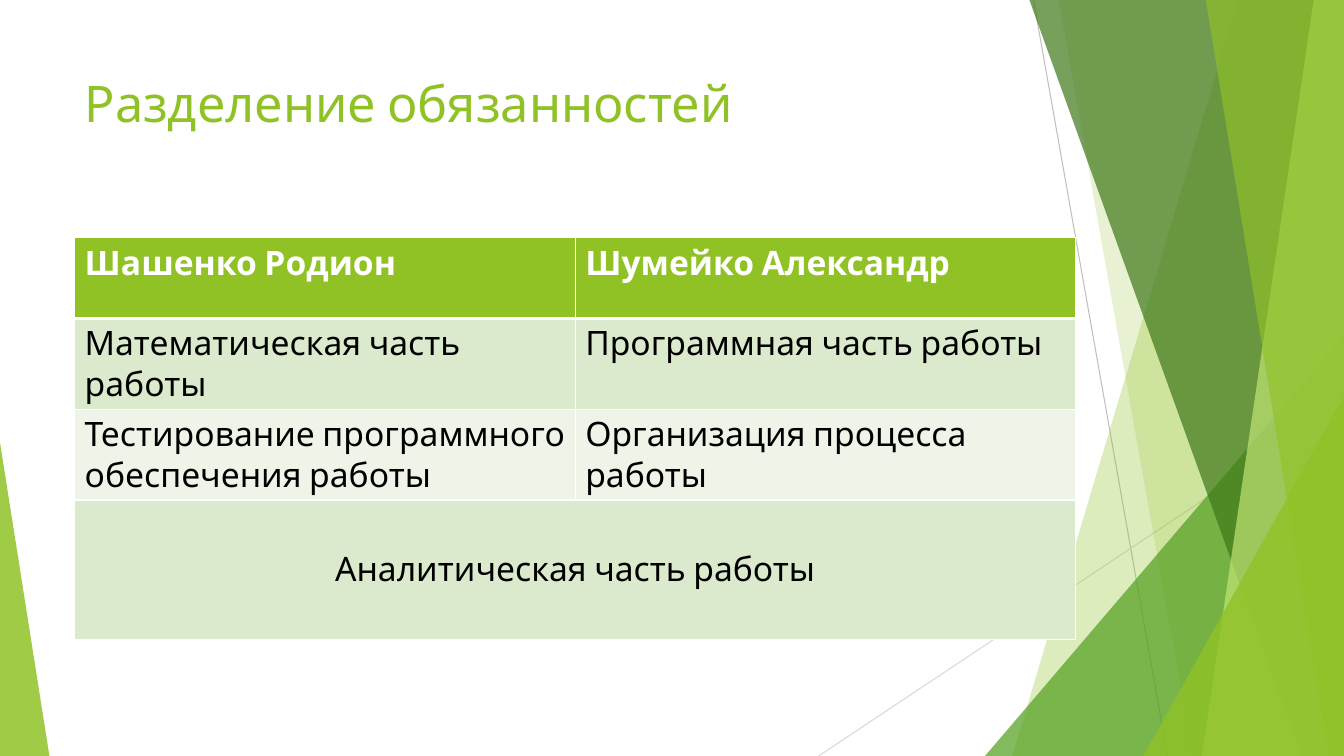
from lxml import etree
from pptx import Presentation
from pptx.dml.color import RGBColor
from pptx.enum.shapes import MSO_CONNECTOR as CONN, MSO_SHAPE as SHAPE
from pptx.enum.text import MSO_ANCHOR as ANCHOR, PP_ALIGN as ALIGN
from pptx.oxml.ns import qn
from pptx.util import Inches, Pt

FONT = "Cabin"
WHITE = RGBColor(0xFF, 0xFF, 0xFF)
BLACK = RGBColor(0, 0, 0)
GREEN = RGBColor(0x90, 0xC2, 0x26)
MID_GREEN = RGBColor(0x54, 0xA0, 0x21)
DARK_GREEN = RGBColor(0x3F, 0x78, 0x19)
LIME = RGBColor(0xC0, 0xE4, 0x74)
BAND_DARK = RGBColor(0xDB, 0xE9, 0xCD)
BAND_LIGHT = RGBColor(0xEE, 0xF4, 0xE8)
LINE_GRAY = RGBColor(0xBF, 0xBF, 0xBF)
LINE_LIGHT = RGBColor(0xD9, 0xD9, 0xD9)

SLIDE_W, SLIDE_H = 13.33, 7.5
DUTIES = [
    ("Шашенко Родион", "Шумейко Александр"),
    ("Математическая часть работы", "Программная часть работы"),
    ("Тестирование программного обеспечения работы", "Организация процесса работы"),
    ("Аналитическая часть работы", ""),
]
ROW_HEIGHTS = [0.8, 0.82, 0.82, 1.38]
ROW_FILLS = [GREEN, BAND_DARK, BAND_LIGHT, BAND_DARK]


def paint(sp, color, opacity):
    """Fill without outline or shadow; opacity is in percent."""
    sp.shadow.inherit = False
    sp.line.fill.background()
    sp.fill.solid()
    sp.fill.fore_color.rgb = color
    clr = sp.fill._xPr.find(qn("a:solidFill"))[0]
    etree.SubElement(clr, qn("a:alpha"), val=str(opacity * 1000))


def add_thin_line(shapes, x1, y1, x2, y2, color):
    line = shapes.add_connector(CONN.STRAIGHT, *map(Inches, (x1, y1, x2, y2)))
    line.line.color.rgb = color
    line.line.width = Pt(0.75)
    etree.SubElement(line._element.spPr, qn("a:effectLst"))


def add_facet(shapes, top_x, bottom_x, right, height, color, opacity):
    """Full-height shape with a slanted left edge, reaching the right edge."""
    points = [(right, 0), (right, height), (bottom_x, height)]
    builder = shapes.build_freeform(Inches(top_x), 0)
    builder.add_line_segments([(Inches(x), Inches(y)) for x, y in points])
    paint(builder.convert_to_shape(), color, opacity)


def add_corner(shapes, left, top, right, bottom, apex, color, opacity):
    """Triangle with its apex at the left (0) or right (1) of its box."""
    box = map(Inches, (left, top, right - left, bottom - top))
    sp = shapes.add_shape(SHAPE.ISOSCELES_TRIANGLE, *box)
    sp.adjustments[0] = apex
    paint(sp, color, opacity)


def add_backdrop(shapes, w, h):
    add_thin_line(shapes, 10.25, 0, 11.58, h, LINE_GRAY)
    add_thin_line(shapes, w, 4.03, 8.12, h, LINE_LIGHT)
    add_facet(shapes, 12.28, 10.04, w, h, GREEN, 30)
    add_facet(shapes, 10.5, 11.83, w, h, GREEN, 20)
    add_corner(shapes, 9.77, 3.33, w, h, 1, MID_GREEN, 72)
    add_facet(shapes, 10.21, 12.91, w, h, DARK_GREEN, 70)
    add_facet(shapes, 13.03, 11.92, w, h, LIME, 70)
    add_facet(shapes, 11.96, 13.18, w, h, GREEN, 65)
    add_corner(shapes, 11.34, 3.93, w, h, 1, GREEN, 80)
    add_corner(shapes, 0, 4.39, 0.49, h, 0, GREEN, 85)


def style_text(p, size, color, bold=False):
    p.font.name = FONT
    p.font.size = Pt(size)
    p.font.bold = bold
    p.font.color.rgb = color


def add_title(shapes, left, top, width, height):
    tf = shapes.add_textbox(*map(Inches, (left, top, width, height))).text_frame
    tf.word_wrap = True
    tf.text = "Разделение обязанностей"
    style_text(tf.paragraphs[0], 36, GREEN)


def set_borders(cell, top, bottom):
    """White borders; top and bottom are widths in points."""
    tc_pr = cell._tc.get_or_add_tcPr()
    for i, (side, width) in enumerate(
        [("lnL", 1), ("lnR", 1), ("lnT", top), ("lnB", bottom)]
    ):
        ln = etree.Element(qn(f"a:{side}"), w=str(Pt(width)))
        fill = etree.SubElement(ln, qn("a:solidFill"))
        etree.SubElement(fill, qn("a:srgbClr"), val=str(WHITE))
        tc_pr.insert(i, ln)


def add_duties_table(shapes, left, top, width):
    rows, cols = len(DUTIES), len(DUTIES[0])
    box = map(Inches, (left, top, width, sum(ROW_HEIGHTS)))
    table = shapes.add_table(rows, cols, *box).table
    for r, texts in enumerate(DUTIES):
        table.rows[r].height = Inches(ROW_HEIGHTS[r])
        for c, text in enumerate(texts):
            cell = table.cell(r, c)
            cell.text = text
            cell.fill.solid()
            cell.fill.fore_color.rgb = ROW_FILLS[r]
            set_borders(cell, 3 if r == 1 else 1, 3 if r == 0 else 1)
            style_text(cell.text_frame.paragraphs[0], 24,
                       WHITE if r == 0 else BLACK, r == 0)
    shared = table.cell(rows - 1, 0)
    shared.merge(table.cell(rows - 1, cols - 1))
    shared.vertical_anchor = ANCHOR.MIDDLE
    shared.text_frame.paragraphs[0].alignment = ALIGN.CENTER


def main():
    prs = Presentation()
    prs.slide_width, prs.slide_height = Inches(SLIDE_W), Inches(SLIDE_H)
    shapes = prs.slides.add_slide(prs.slide_layouts[6]).shapes
    add_backdrop(shapes, SLIDE_W, SLIDE_H)
    add_title(shapes, 0.74, 0.67, 9.4, 1.44)
    add_duties_table(shapes, 0.74, 2.36, 9.93)
    prs.save("out.pptx")


if __name__ == "__main__":
    main()
